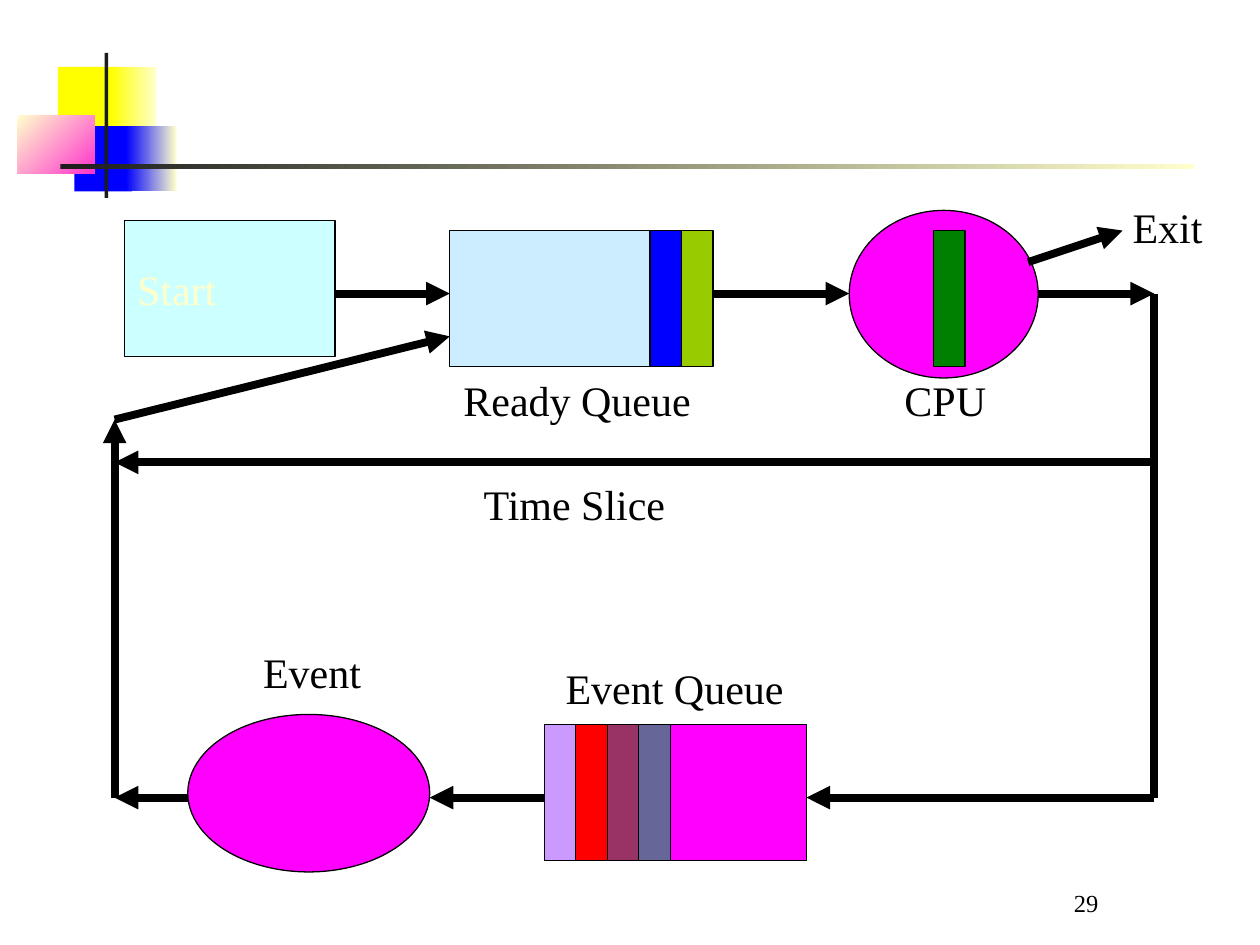
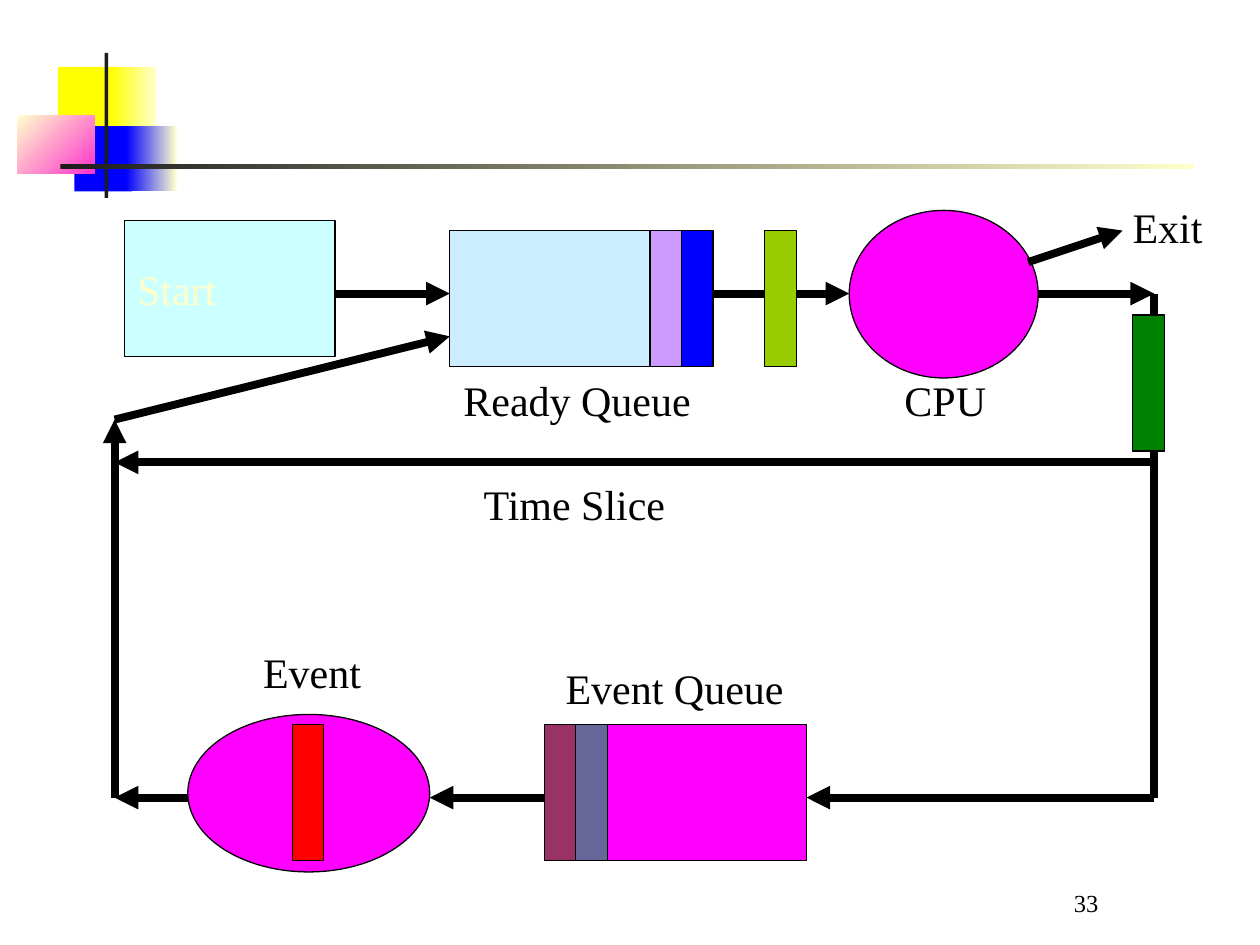
from lxml.etree import SubElement
from pptx import Presentation
from pptx.dml.color import RGBColor
from pptx.enum.shapes import MSO_CONNECTOR, MSO_SHAPE
from pptx.enum.text import MSO_ANCHOR, MSO_AUTO_SIZE, PP_ALIGN
from pptx.oxml.ns import qn
from pptx.util import Pt

PX = 9144  # EMU per px, at 100 px to the inch
FONT = "Times New Roman"

BLACK = RGBColor(0x00, 0x00, 0x00)
CHARCOAL = RGBColor(0x1C, 0x1C, 0x1C)
CREAM = RGBColor(0xFF, 0xFF, 0xCC)
YELLOW = RGBColor(0xFF, 0xFF, 0x00)
BLUE = RGBColor(0x00, 0x00, 0xFF)
PINK = RGBColor(0xFF, 0x33, 0xCC)
MAGENTA = RGBColor(0xFF, 0x00, 0xFF)
ICE = RGBColor(0xCC, 0xFF, 0xFF)
SKY = RGBColor(0xCC, 0xEC, 0xFF)
LILAC = RGBColor(0xCC, 0x99, 0xFF)
RED = RGBColor(0xFF, 0x00, 0x00)
PLUM = RGBColor(0x99, 0x33, 0x66)
SLATE = RGBColor(0x66, 0x66, 0x99)
GREEN = RGBColor(0x00, 0x80, 0x00)
LIME = RGBColor(0x99, 0xCC, 0x00)


def draw_shape(slide, kind, at, *colours, angle=0, outlined=True):
    """Draw a preset shape; two colours make a gradient."""
    shape = slide.shapes.add_shape(kind, *(v * PX for v in at))
    shape.shadow.inherit = False
    if len(colours) == 2:
        shape.fill.gradient()
        shape.fill.gradient_angle = angle
        for stop, colour in zip(shape.fill.gradient_stops, colours):
            stop.color.rgb = colour
    else:
        shape.fill.solid()
        shape.fill.fore_color.rgb = colours[0]
    if outlined:
        shape.line.color.rgb = BLACK
        shape.line.width = Pt(0.75)
    else:
        shape.line.fill.background()
    return shape


def write(shape, text, size, colour, align=PP_ALIGN.LEFT):
    shape.text_frame.text = text
    paragraph = shape.text_frame.paragraphs[0]
    paragraph.alignment = align
    font = paragraph.runs[0].font
    font.name, font.size, font.color.rgb = FONT, Pt(size), colour


# Queues, service stations and the tracks between them
TOKEN_W, BOX_H = 25, 108
READY_X, READY_Y, QUEUE_W = 357, 183, 208
READY_END = READY_X + QUEUE_W
EVENT_X, EVENT_Y = 432, 575
LEFT_TRACK, RIGHT_TRACK = 91, 916
TOP_TRACK, BOTTOM_TRACK, SLICE_TRACK = 233, 633, 367

stations = [
    (MSO_SHAPE.RECTANGLE, (READY_X, READY_Y, QUEUE_W, BOX_H), SKY),
    (MSO_SHAPE.OVAL, (674, 167, 150, 133), MAGENTA),
    (MSO_SHAPE.RECTANGLE, (EVENT_X, EVENT_Y, QUEUE_W, BOX_H), MAGENTA),
    (MSO_SHAPE.OVAL, (149, 567, 192, 125), MAGENTA),
]
START_BOX = (99, 175, 167, BOX_H)

# From x, y, to x, y, and whether the line ends in an arrowhead
flows = [
    (266, TOP_TRACK, READY_X, TOP_TRACK, True),
    (READY_END, TOP_TRACK, 674, TOP_TRACK, True),
    (824, TOP_TRACK, RIGHT_TRACK, TOP_TRACK, True),
    (RIGHT_TRACK, TOP_TRACK, RIGHT_TRACK, BOTTOM_TRACK, False),
    (RIGHT_TRACK, BOTTOM_TRACK, EVENT_X + QUEUE_W, BOTTOM_TRACK, True),
    (LEFT_TRACK, BOTTOM_TRACK, LEFT_TRACK, 333, True),
    (LEFT_TRACK, 333, READY_X, 267, True),
    (EVENT_X, BOTTOM_TRACK, 341, BOTTOM_TRACK, True),
    (149, BOTTOM_TRACK, LEFT_TRACK, BOTTOM_TRACK, True),
    (816, 208, 891, 183, True),
    (RIGHT_TRACK, SLICE_TRACK, LEFT_TRACK, SLICE_TRACK, True),
]

# Text, x, y and a width with a little room to spare
labels = [
    ("Ready Queue", 358, 292, 206),
    ("Event Queue", 439, 521, 198),
    ("Event", 199, 508, 103),
    ("Exit", 889, 155, 81),
    ("Time Slice", 374, 375, 170),
    ("CPU", 708, 292, 90),
]

# Each step: slide number, ready queue from its back to its front,
# event queue from its front to its back, and processes elsewhere
steps = [
    ("29", [BLUE, LIME], [LILAC, RED, PLUM, SLATE], [(741, READY_Y, GREEN)]),
    ("33", [LILAC, BLUE], [PLUM, SLATE],
     [(232, EVENT_Y, RED), (899, 250, GREEN), (607, READY_Y, LIME)]),
]

prs = Presentation()
prs.slide_width, prs.slide_height = 1000 * PX, 750 * PX
layout = prs.slide_layouts[6]
slides = [prs.slides.add_slide(layout) for step in steps]

# Shared ornament, drawn once and moved to the layout
for placeholder in list(layout.placeholders):
    layout.shapes.element.remove(placeholder.element)
ornament = [
    draw_shape(slides[0], MSO_SHAPE.RECTANGLE, at, *colours, angle=angle, outlined=False)
    for at, colours, angle in [
        ((46, 53, 48, 52), [YELLOW], 0),
        ((88, 53, 36, 52), [YELLOW, CREAM], 0),
        ((59, 100, 46, 52), [BLUE], 0),
        ((100, 100, 40, 52), [BLUE, CREAM], 0),
        ((14, 92, 61, 46), [CREAM, PINK], 315),
        ((83, 42, 3, 115), [CHARCOAL], 0),
        ((48, 130, 900, 4), [CHARCOAL, CREAM], 0),
    ]
]
for part in ornament:
    layout.shapes.element.append(part.element)

for slide, (number, ready, waiting, elsewhere) in zip(slides, steps):
    # Slide number
    page = slide.shapes.add_textbox(758 * PX, 683 * PX, 208 * PX, 50 * PX)
    page.text_frame.word_wrap = True
    page.text_frame.vertical_anchor = MSO_ANCHOR.BOTTOM
    write(page, number, 14, BLACK, PP_ALIGN.CENTER)

    # Stations
    for kind, at, colour in stations:
        draw_shape(slide, kind, at, colour)
    start = draw_shape(slide, MSO_SHAPE.RECTANGLE, START_BOX, ICE)
    start.text_frame.vertical_anchor = MSO_ANCHOR.MIDDLE
    write(start, "Start", 24, CREAM)

    # Flow lines
    for *ends, has_head in flows:
        flow = slide.shapes.add_connector(MSO_CONNECTOR.STRAIGHT, *(v * PX for v in ends))
        flow.line.color.rgb = BLACK
        flow.line.width = Pt(4.5)
        properties = flow.element.spPr
        if has_head:
            SubElement(properties.find(qn("a:ln")), qn("a:tailEnd"), type="triangle")
        SubElement(properties, qn("a:effectLst"))

    # Processes
    ready_start = READY_END + 1 - len(ready) * TOKEN_W
    processes = [(ready_start + i * TOKEN_W, READY_Y, c) for i, c in enumerate(ready)]
    processes += [(EVENT_X + i * TOKEN_W, EVENT_Y, c) for i, c in enumerate(waiting)]
    for x, y, colour in processes + elsewhere:
        draw_shape(slide, MSO_SHAPE.RECTANGLE, (x, y, TOKEN_W, BOX_H), colour)

    # Labels
    for text, x, y, width in labels:
        label = slide.shapes.add_textbox(x * PX, y * PX, width * PX, 50 * PX)
        label.text_frame.word_wrap = False
        label.text_frame.auto_size = MSO_AUTO_SIZE.NONE
        write(label, text, 24, BLACK)

prs.save("out.pptx")
